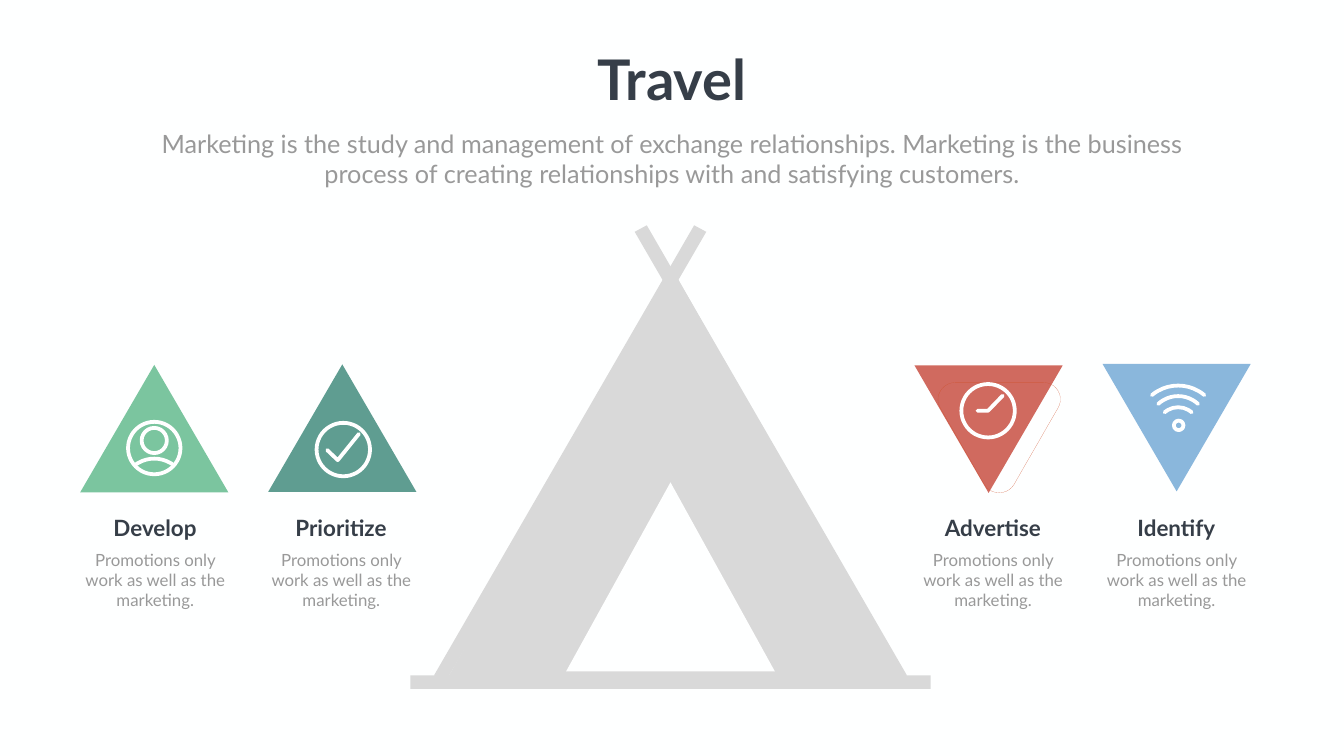
"""Build the Travel slide: a tent between four labelled triangles."""
from pptx import Presentation
from pptx.dml.color import RGBColor
from pptx.enum.shapes import MSO_SHAPE as SHAPE
from pptx.enum.text import MSO_ANCHOR, MSO_AUTO_SIZE, PP_ALIGN
from pptx.util import Inches, Pt

COLORS = {
    "background": "FEFFFF", "white": "FFFFFF", "tent": "D9D9D9",
    "heading": "363E48", "body": "999999", "green": "7BC59F",
    "teal": "5F9D91", "red": "D06A5F", "blue": "8AB7DC", "trace": "CE4F28",
}


def paint(sp, fill=None, line=None, width=5.4):
    sp.shadow.inherit = False
    if fill:
        sp.fill.solid()
        sp.fill.fore_color.rgb = RGBColor.from_string(COLORS[fill])
    else:
        sp.fill.background()
    if line:
        sp.line.color.rgb = RGBColor.from_string(COLORS[line])
        sp.line.width = Pt(width)
        sp.line._get_or_add_ln().set("cap", "rnd")
    else:
        sp.line.fill.background()


def write(sp, text, size, color, bold=False, wrap=True):
    tf = sp.text_frame
    tf.word_wrap = wrap
    tf.auto_size = MSO_AUTO_SIZE.SHAPE_TO_FIT_TEXT
    tf.vertical_anchor = MSO_ANCHOR.TOP
    p = tf.paragraphs[0]
    p.text = text
    p.alignment = PP_ALIGN.CENTER
    p.font.name = "Lato"
    p.font.size = Pt(size)
    p.font.bold = bold
    p.font.color.rgb = RGBColor.from_string(COLORS[color])


prs = Presentation()
prs.slide_width, prs.slide_height = Inches(26.66), Inches(15)
s = prs.slides.add_slide(prs.slide_layouts[5])
s.background.fill.solid()
s.background.fill.fore_color.rgb = RGBColor.from_string(COLORS["background"])

title = s.shapes.title
title.left, title.top = Inches(11.65), Inches(0.83)
title.width, title.height = Inches(3.36), Inches(1.45)
write(title, "Travel", 80, "heading", bold=True, wrap=False)
subtitle = s.shapes.add_textbox(Inches(2.68), Inches(2.49), Inches(21.3), Inches(1.31))
write(subtitle, "Marketing is the study and management of exchange relationships. "
      "Marketing is the business process of creating relationships with and "
      "satisfying customers.", 36, "body")

solids = [
    (SHAPE.RECTANGLE, 8.14, 13.4, 10.32, 0.27, 0, "tent"),
    (SHAPE.ISOSCELES_TRIANGLE, 8.88, 5.48, 9.07, 7.97, 0, "tent"),
    (SHAPE.ISOSCELES_TRIANGLE, 11.23, 9.57, 4.14, 3.75, 0, "background"),
    (SHAPE.ISOSCELES_TRIANGLE, 21.87, 7.22, 2.94, 2.53, 180, "blue"),
    (SHAPE.ISOSCELES_TRIANGLE, 18.14, 7.25, 2.94, 2.53, 180, "red"),
    (SHAPE.ISOSCELES_TRIANGLE, 1.59, 7.24, 2.94, 2.53, 0, "green"),
    (SHAPE.ISOSCELES_TRIANGLE, 5.32, 7.23, 2.94, 2.53, 0, "teal"),
]
for kind, x, y, w, h, turn, color in solids:
    sp = s.shapes.add_shape(kind, Inches(x), Inches(y), Inches(w), Inches(h))
    sp.rotation = turn
    paint(sp, color)

corners = [
    [(18.65, 8.09), (18.52, 7.87), (18.69, 7.59), (18.95, 7.59)],
    [(20.7, 7.59), (20.96, 7.59), (21.12, 7.87), (20.99, 8.09)],
    [(20.11, 9.62), (19.98, 9.83), (19.66, 9.83), (19.53, 9.62)],
]
rounded = []
for a, b, c, d in corners:
    for t in [i / 10 for i in range(11)]:
        rounded.append(tuple(
            (1 - t) ** 3 * a[k] + 3 * t * (1 - t) ** 2 * b[k]
            + 3 * t ** 2 * (1 - t) * c[k] + t ** 3 * d[k] for k in (0, 1)))

left_pole = [(14.01, 4.6), (8.83, 13.54), (8.61, 13.4), (13.77, 4.47)]
right_pole = [(26.6 - x, y) for x, y in left_pole]
clock_hands = [(19.39, 8.15), (19.6, 8.15), (19.89, 7.85)]
check = [(6.49, 8.93), (6.7, 9.13), (7.12, 8.61)]
outlines = [
    (left_pole, True, "tent", None, 0),
    (right_pole, True, "tent", None, 0),
    (rounded, True, None, "trace", 0.1),
    (clock_hands, False, None, "white", 5.4),
    (check, False, None, "white", 5.4),
]
for points, closed, fill, line, width in outlines:
    start, *rest = [(Inches(x), Inches(y)) for x, y in points]
    builder = s.shapes.build_freeform(*start)
    builder.add_line_segments(rest, close=closed)
    paint(builder.convert_to_shape(), fill, line, width)

rings = [(3.06, 8.89, 1.04), (3.06, 8.74, 0.5), (19.6, 8.15, 1.06),
         (6.81, 8.92, 1.06), (23.38, 8.44, 0.19)]
for cx, cy, d in rings:
    sp = s.shapes.add_shape(SHAPE.OVAL, Inches(cx - d / 2), Inches(cy - d / 2),
                            Inches(d), Inches(d))
    paint(sp, line="white")

arcs = [(3.06, 9.1, 0.64, 34), (23.37, 7.65, 0.81, 40),
        (23.37, 7.86, 0.58, 43), (23.37, 8.08, 0.41, 41)]
for cx, top, radius, half_angle in arcs:
    sp = s.shapes.add_shape(SHAPE.ARC, Inches(cx - radius), Inches(top),
                            Inches(2 * radius), Inches(2 * radius))
    sp.adjustments[0] = (270 - half_angle) * 0.6
    sp.adjustments[1] = (270 + half_angle) * 0.6
    paint(sp, line="white")

labels = [("Develop", 3.08), ("Prioritize", 6.77), ("Advertise", 19.7), ("Identify", 23.34)]
for name, cx in labels:
    heading = s.shapes.add_textbox(Inches(cx - 1.31), Inches(10.15), Inches(2.61), Inches(0.64))
    write(heading, name, 32, "heading", bold=True)
    body = s.shapes.add_textbox(Inches(cx - 1.63), Inches(10.85), Inches(3.26), Inches(1.31))
    write(body, "Promotions only work as well as the marketing.", 24, "body")

prs.save("out.pptx")
